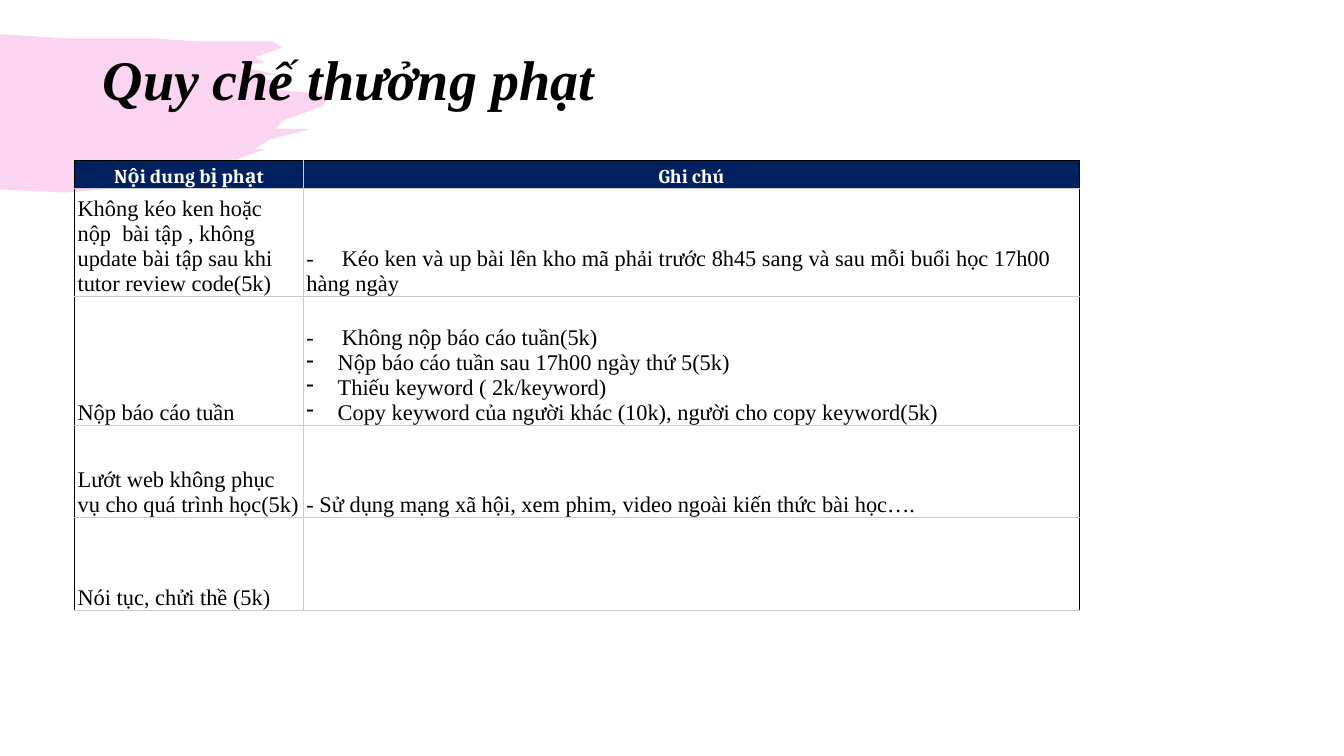
from lxml.etree import SubElement
from pptx import Presentation
from pptx.dml.color import RGBColor
from pptx.enum.text import MSO_ANCHOR, PP_ALIGN
from pptx.oxml import parse_xml
from pptx.oxml.ns import nsdecls, qn
from pptx.util import Pt

PX = 9144
BLACK = RGBColor(0x00, 0x00, 0x00)
WHITE = RGBColor(0xFF, 0xFF, 0xFF)
GREY = RGBColor(0xCC, 0xCC, 0xCC)
NAVY = RGBColor(0x00, 0x20, 0x60)
PINK = RGBColor(0xE7, 0x29, 0xB5)
BODY_FONT = "Times New Roman"
HEADER_FONT = "Cambria"
BULLET_INDENT = 31
TAB_STOP = 35

COLUMN_WIDTHS = [227, 770]
ROW_HEIGHTS = [28, 64, 128, 92, 92]
RULES = [
    (["Nội dung bị phạt"], ["Ghi chú"]),
    (["Không kéo ken hoặc nộp  bài tập , không update bài tập sau khi tutor review code(5k)"],
     ["-\tKéo ken và up bài lên kho mã phải trước 8h45 sang và sau mỗi buổi học 17h00 hàng ngày"]),
    (["Nộp báo cáo tuần"],
     ["-\tKhông nộp báo cáo tuần(5k)",
      "Nộp báo cáo tuần sau 17h00 ngày thứ 5(5k)",
      "Thiếu keyword ( 2k/keyword)",
      "Copy keyword của người khác (10k), người cho copy keyword(5k)"]),
    (["Lướt web không phục vụ cho quá trình học(5k)"],
     ["- Sử dụng mạng xã hội, xem phim, video ngoài kiến thức bài học…."]),
    (["Nói tục, chửi thề (5k)"], []),
]

BRUSH_OUTLINE = [
    (0, 34), (66, 38), (151, 38), (194, 41), (248, 41), (270, 41), (280, 47),
    (253, 57), (262, 62), (238, 66), (275, 74), (251, 75), (290, 85), (263, 88),
    (330, 94), (318, 106), (280, 120), (274, 128), (308, 128), (269, 138),
    (252, 148), (263, 148), (197, 172), (102, 188), (65, 191), (0, 188),
]


def add_brush_stroke(slide):
    start, *others = BRUSH_OUTLINE
    builder = slide.shapes.build_freeform(*start, scale=PX)
    builder.add_line_segments(others, close=True)
    shape = builder.convert_to_shape()
    shape.shadow.inherit = False
    shape.line.fill.background()
    shape.fill.solid()
    shape.fill.fore_color.rgb = PINK
    color = shape._element.spPr.find(qn("a:solidFill"))[0]
    SubElement(color, qn("a:alpha"), val="20000")


def format_runs(paragraph, font_name, size, color, bold, italic=False):
    for run in paragraph.runs:
        run.font.name = font_name
        run.font.size = Pt(size)
        run.font.color.rgb = color
        run.font.bold = bold
        run.font.italic = italic


def add_title(slide, text):
    shape = slide.shapes.add_textbox(92 * PX, 9 * PX, 1150 * PX, 145 * PX)
    text_frame = shape.text_frame
    text_frame.word_wrap = True
    text_frame.vertical_anchor = MSO_ANCHOR.MIDDLE
    text_frame.text = text
    paragraph = text_frame.paragraphs[0]
    paragraph.line_spacing = 0.9
    format_runs(paragraph, BODY_FONT, 40, BLACK, True, True)


def set_borders(cell, colors):
    properties = cell._tc.get_or_add_tcPr()
    for index, (side, color) in enumerate(zip("LRTB", colors)):
        properties.insert(index, parse_xml(
            f'<a:ln{side} {nsdecls("a")} w="9525"><a:solidFill>'
            f'<a:srgbClr val="{color}"/></a:solidFill></a:ln{side}>'))


def set_bullet(paragraph):
    properties = paragraph._p.get_or_add_pPr()
    properties.set("marL", str(BULLET_INDENT * PX))
    properties.set("indent", str(-BULLET_INDENT * PX))
    SubElement(properties, qn("a:buChar"), char="-")


def set_tab_stop(paragraph):
    tabs = SubElement(paragraph._p.get_or_add_pPr(), qn("a:tabLst"))
    SubElement(tabs, qn("a:tab"), pos=str(TAB_STOP * PX), algn="l")


def fill_cell(cell, lines, is_header):
    cell.vertical_anchor = MSO_ANCHOR.BOTTOM
    cell.margin_left = cell.margin_right = (1 if is_header else 3) * PX
    cell.margin_top = cell.margin_bottom = 0
    if is_header:
        cell.fill.solid()
        cell.fill.fore_color.rgb = NAVY
    else:
        cell.fill.background()
    cell.text_frame.text = "\n".join(lines)
    for index, paragraph in enumerate(cell.text_frame.paragraphs):
        if index > 0:
            set_bullet(paragraph)
        if "\t" in paragraph.text:
            set_tab_stop(paragraph)
        if is_header:
            paragraph.alignment = PP_ALIGN.CENTER
            format_runs(paragraph, HEADER_FONT, 14, WHITE, True)
        else:
            format_runs(paragraph, BODY_FONT, 16, BLACK, False)


def add_rules_table(slide):
    table = slide.shapes.add_table(
        len(RULES), len(COLUMN_WIDTHS), 74 * PX, 159 * PX,
        sum(COLUMN_WIDTHS) * PX, sum(ROW_HEIGHTS) * PX).table
    table.horz_banding = False
    for column, width in zip(table.columns, COLUMN_WIDTHS):
        column.width = width * PX
    for row, height in zip(table.rows, ROW_HEIGHTS):
        row.height = height * PX
    last_column = len(COLUMN_WIDTHS) - 1
    for row_index, rule in enumerate(RULES):
        for column_index, lines in enumerate(rule):
            cell = table.cell(row_index, column_index)
            fill_cell(cell, lines, row_index == 0)
            outer_sides = (column_index == 0, column_index == last_column, row_index == 0, False)
            set_borders(cell, [BLACK if outer else GREY for outer in outer_sides])


def main():
    presentation = Presentation()
    presentation.slide_width = 1333 * PX
    presentation.slide_height = 750 * PX
    slide = presentation.slides.add_slide(presentation.slide_layouts[6])
    add_brush_stroke(slide)
    add_title(slide, "Quy chế thưởng phạt")
    add_rules_table(slide)
    presentation.save("out.pptx")


if __name__ == "__main__":
    main()
